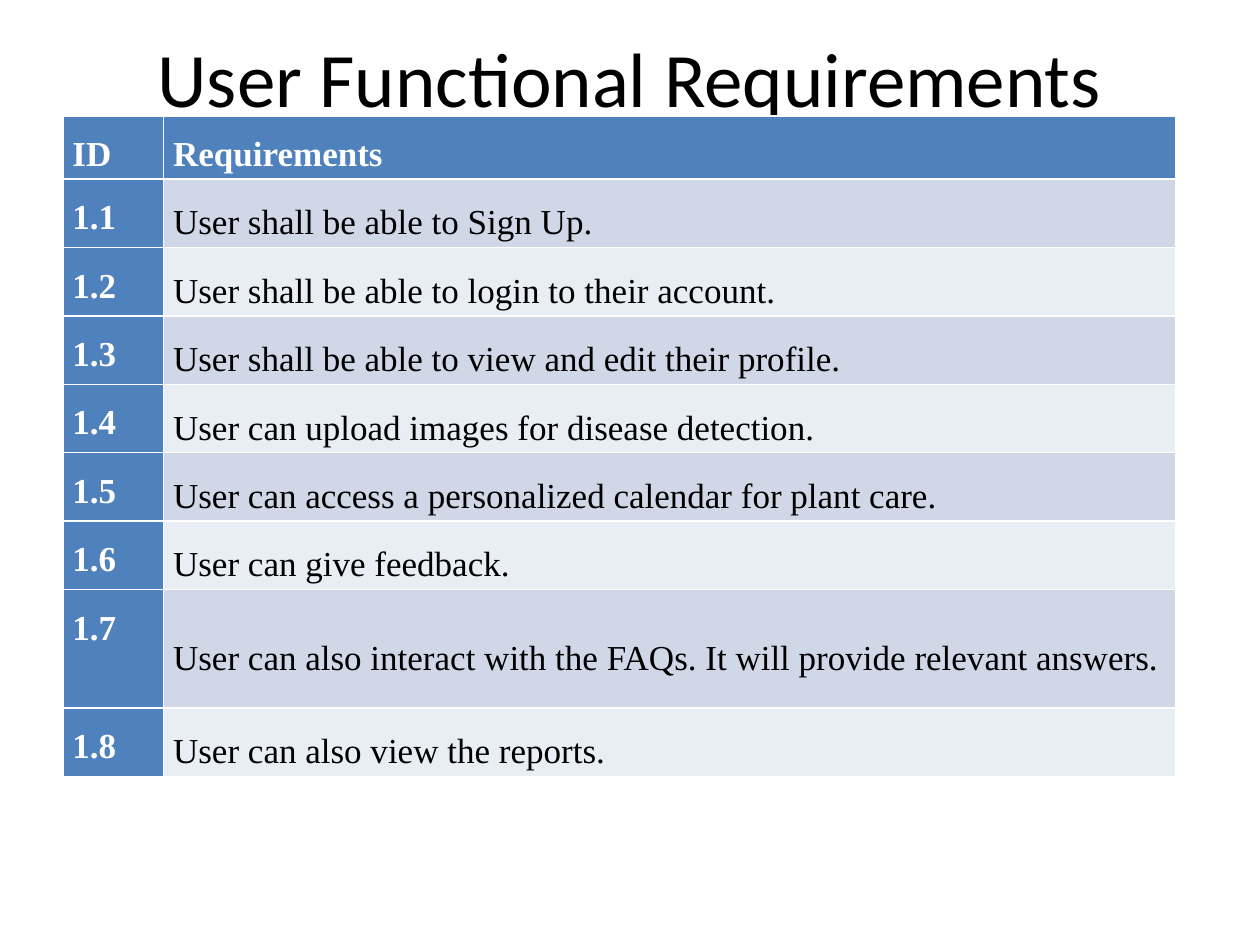
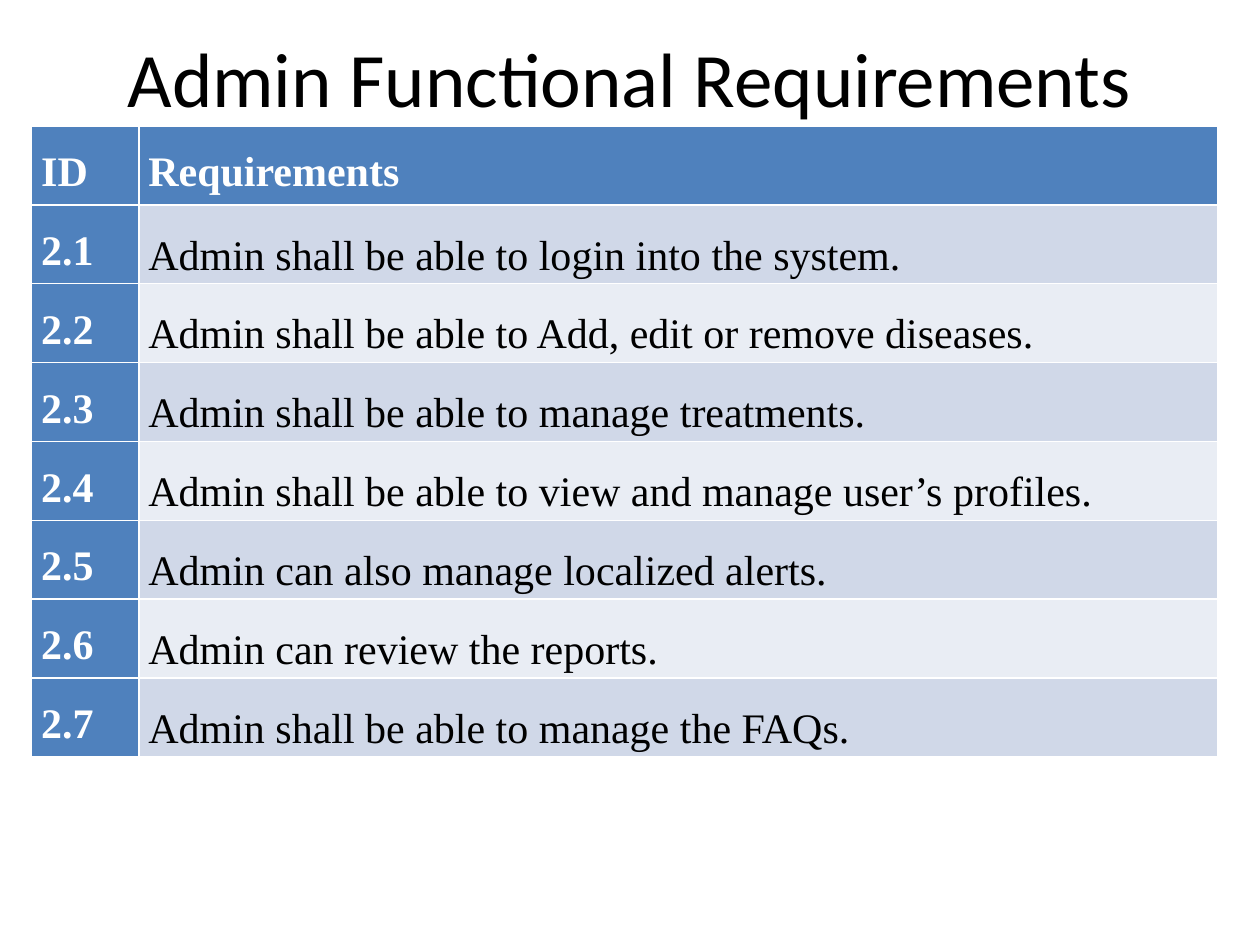
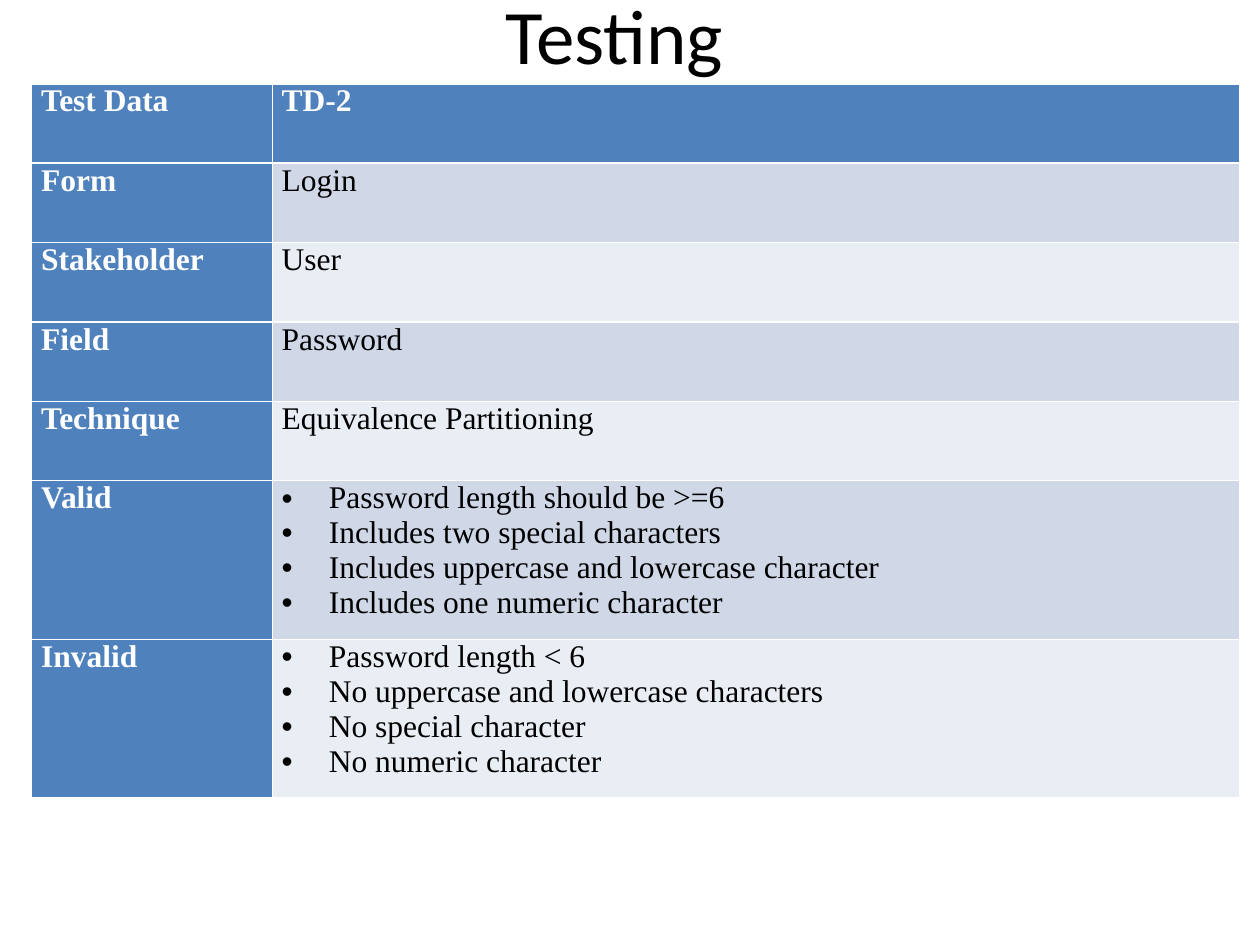
"""Build three table slides: user requirements, admin requirements and testing."""
from dataclasses import dataclass

from lxml import etree
from pptx import Presentation
from pptx.dml.color import RGBColor
from pptx.enum.text import MSO_ANCHOR, MSO_AUTO_SIZE, PP_ALIGN
from pptx.oxml.ns import qn
from pptx.util import Cm, Pt

CENTER, JUSTIFY = PP_ALIGN.CENTER, PP_ALIGN.JUSTIFY
TOP, MIDDLE = MSO_ANCHOR.TOP, MSO_ANCHOR.MIDDLE
FIXED_SIZE = MSO_AUTO_SIZE.NONE


@dataclass(frozen=True)
class Theme:
    """Colours, fonts and sizes shared by all pages."""
    background: str = "FFFFFF"
    ink: str = "000000"
    heading_ink: str = "FFFFFF"
    heading_fill: str = "4F81BD"
    bands: tuple = ("D0D8E8", "E9EDF4")
    title_font: str = "Calibri"
    table_font: str = "Times New Roman"
    title_size: int = 44
    user_size: int = 20
    admin_size: int = 24
    testing_size: int = 18
    cell_margin: float = 0.19
    bullet_indent: float = 0.95


THEME = Theme()
TITLE_FRAME = (1.27, 0.76, 22.86, 1.57)

USER_REQUIREMENTS = [
    "User shall be able to Sign Up.",
    "User shall be able to login to their account.",
    "User shall be able to view and edit their profile.",
    "User can upload images for disease detection.",
    "User can access a personalized calendar for plant care.",
    "User can give feedback.",
    "User can also interact with the FAQs. It will provide relevant answers.",
    "User can also view the reports.",
]
ADMIN_REQUIREMENTS = [
    "Admin shall be able to login into the system.",
    "Admin shall be able to Add, edit or remove diseases.",
    "Admin shall be able to manage treatments.",
    "Admin shall be able to view and manage user’s profiles.",
    "Admin can also manage localized alerts.",
    "Admin can review the reports.",
    "Admin shall be able to manage the FAQs.",
]
LOGIN_TEST = [
    ("Test Data", "TD-2"),
    ("Form", "Login"),
    ("Stakeholder", "User"),
    ("Field", "Password"),
    ("Technique", "Equivalence Partitioning"),
    ("Valid", [
        "Password length should be >=6",
        "Includes two special characters",
        "Includes uppercase and lowercase character",
        "Includes one numeric character",
    ]),
    ("Invalid", [
        "Password length < 6",
        "No uppercase and lowercase characters",
        "No special character",
        "No numeric character",
    ]),
]


def set_values(target, values):
    """Set each named attribute of the target."""
    for name, value in values.items():
        setattr(target, name, value)


def paint(fill, colour):
    """Give a fill one solid colour."""
    fill.solid()
    fill.fore_color.rgb = RGBColor.from_string(colour)


def write_span(para, text, font, size, colour, bold=False):
    """Add one formatted span to a paragraph."""
    span = para.add_run()
    span.text = text
    set_values(span.font, {"name": font, "size": Pt(size), "bold": bold})
    span.font.color.rgb = RGBColor.from_string(colour)


def add_bullet(para):
    """Give a paragraph a round bullet and a hanging indent."""
    indent = Cm(THEME.bullet_indent)
    properties = para._p.get_or_add_pPr()
    properties.set("marL", str(indent))
    properties.set("indent", str(-indent))
    etree.SubElement(properties, qn("a:buFont"), typeface="Arial")
    etree.SubElement(properties, qn("a:buChar"), char="•")


def add_page(deck, title, title_frame=TITLE_FRAME):
    """Add a blank page with a centred title."""
    page = deck.slides.add_slide(deck.slide_layouts[6])
    paint(page.background.fill, THEME.background)
    box = page.shapes.add_textbox(*map(Cm, title_frame))
    set_values(box.text_frame, {
        "word_wrap": True, "auto_size": FIXED_SIZE, "vertical_anchor": MIDDLE,
    })
    para = box.text_frame.paragraphs[0]
    para.alignment = CENTER
    write_span(para, title, THEME.title_font, THEME.title_size, THEME.ink)
    return page


def fill_cell(cell, content, size, fill, heading, spacing, anchor):
    """Write a text, or a list as bullets, into a table cell."""
    margin = Cm(THEME.cell_margin)
    set_values(cell, {
        "margin_left": margin, "margin_right": margin,
        "margin_top": 0, "margin_bottom": 0, "vertical_anchor": anchor,
    })
    paint(cell.fill, fill)
    colour = THEME.heading_ink if heading else THEME.ink
    bulleted = isinstance(content, list)
    for index, text in enumerate(content if bulleted else [content]):
        frame = cell.text_frame
        para = frame.add_paragraph() if index else frame.paragraphs[0]
        set_values(para, {"alignment": JUSTIFY, "line_spacing": spacing})
        if bulleted:
            add_bullet(para)
        write_span(para, text, THEME.table_font, size, colour, heading)


def add_grid(page, rows, corner, widths, heights, size, spacing=None, body_anchor=TOP):
    """Add a table with a heading row, a heading column and banded rows."""
    frame = page.shapes.add_table(
        len(rows), len(widths), *map(Cm, (*corner, sum(widths), sum(heights))))
    table = frame.table
    table.first_col = True
    for column, width in zip(table.columns, widths):
        column.width = Cm(width)
    for row_index, (contents, height) in enumerate(zip(rows, heights)):
        table.rows[row_index].height = Cm(height)
        band = THEME.bands[(row_index - 1) % 2]
        for column_index, content in enumerate(contents):
            heading = row_index == 0 or column_index == 0
            fill = THEME.heading_fill if heading else band
            anchor = TOP if heading else body_anchor
            fill_cell(table.cell(row_index, column_index), content, size,
                      fill, heading, spacing, anchor)


def add_requirements(page, section, requirements, **layout):
    """Add a table of requirements numbered within their section."""
    numbered = [(f"{section}.{number}", text)
                for number, text in enumerate(requirements, 1)]
    add_grid(page, [("ID", "Requirements"), *numbered],
             spacing=1.5, body_anchor=MIDDLE, **layout)


def main():
    """Build and save the deck."""
    deck = Presentation()
    set_values(deck, {"slide_width": Cm(25.4), "slide_height": Cm(19.05)})

    page = add_page(deck, "User Functional Requirements")
    add_requirements(page, 1, USER_REQUIREMENTS, corner=(1.27, 2.34),
                     widths=(2.03, 20.4), heights=[1.27] + [1.38] * 6 + [2.39, 1.38],
                     size=THEME.user_size)

    page = add_page(deck, "Admin Functional Requirements")
    add_requirements(page, 2, ADMIN_REQUIREMENTS, corner=(0.64, 2.54),
                     widths=(2.16, 21.75), heights=[1.59] * 8,
                     size=THEME.admin_size)

    page = add_page(deck, "Testing", (0.85, 0.08, 23.07, 1.19))
    add_grid(page, LOGIN_TEST, corner=(0.64, 1.69), widths=(4.85, 19.5),
             heights=[1.6] * 5 + [3.2] * 2, size=THEME.testing_size)

    deck.save("out.pptx")


if __name__ == "__main__":
    main()
